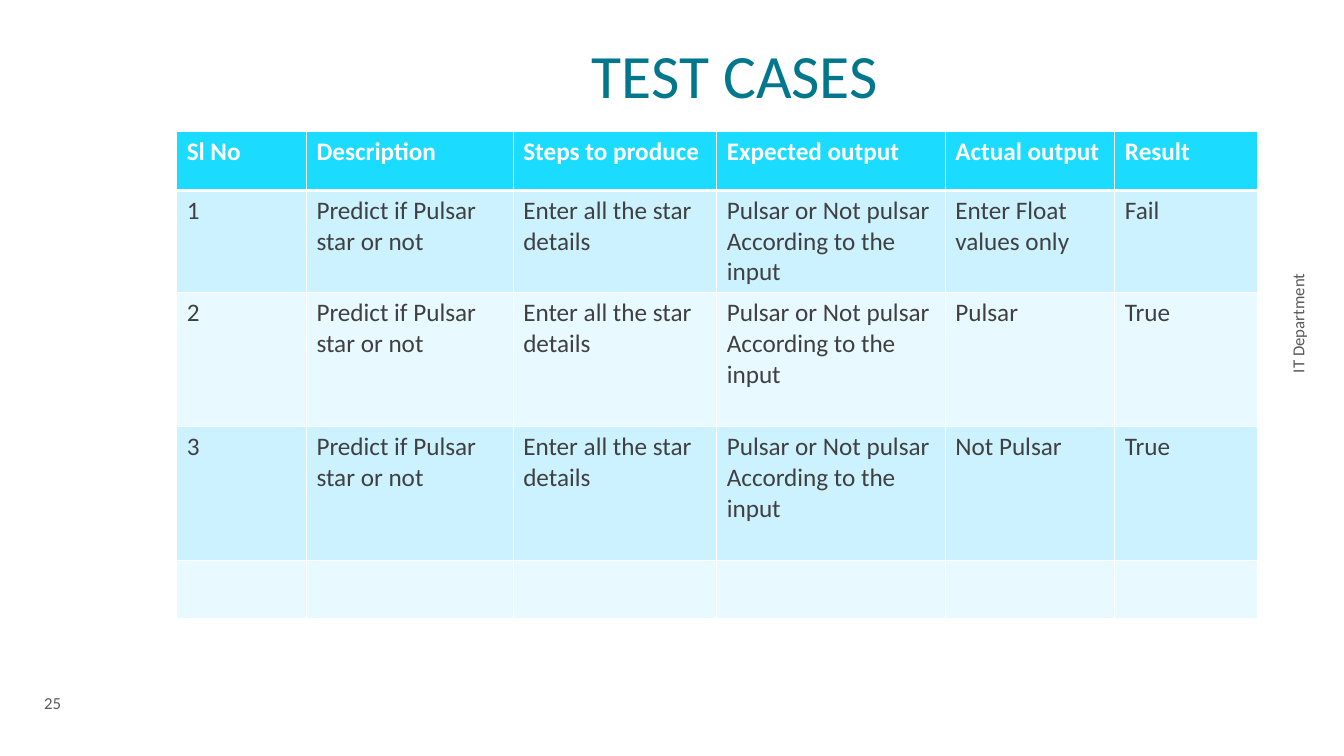
from lxml import etree
from pptx import Presentation
from pptx.dml.color import RGBColor
from pptx.enum.text import MSO_ANCHOR, PP_ALIGN
from pptx.oxml.ns import qn
from pptx.util import Pt

LEFT, CENTER = PP_ALIGN.LEFT, PP_ALIGN.CENTER
TOP, MIDDLE, BOTTOM = MSO_ANCHOR.TOP, MSO_ANCHOR.MIDDLE, MSO_ANCHOR.BOTTOM

WHITE = RGBColor(0xFF, 0xFF, 0xFF)
TEAL = RGBColor(0x00, 0x77, 0x8D)
CYAN = RGBColor(0x1B, 0xDC, 0xFF)
PALE = RGBColor(0xCD, 0xF2, 0xFF)
LIGHT = RGBColor(0xE8, 0xF9, 0xFF)
DARK = RGBColor(0x40, 0x40, 0x40)
GRAY = RGBColor(0x59, 0x59, 0x59)

HEADS = ["Sl No", "Description", "Steps to produce",
         "Expected output", "Actual output", "Result"]
TASK = ["Predict if Pulsar star or not", "Enter all the star details",
        "Pulsar or Not pulsar According to the input"]
RESULTS = [("Enter Float values only", "Fail"),
           ("Pulsar", "True"), ("Not Pulsar", "True")]
WIDTHS = [92.7, 147.7, 145.4, 163.3, 121.1, 102]
HEIGHTS = [42, 73, 95.5, 95.5, 42]


def write(frame, text, size=18, color=DARK, bold=False, align=LEFT,
          anchor=TOP, space=None):
    frame.word_wrap = True
    frame.vertical_anchor = anchor
    frame.text = text
    para = frame.paragraphs[0]
    para.alignment = align
    if space:
        para.line_spacing = space
    font = para.font
    font.name, font.size, font.bold = "Calibri", Pt(size), bold
    font.color.rgb = color


class Deck:
    def __init__(self):
        self.prs = Presentation()
        self.prs.slide_width, self.prs.slide_height = Pt(960), Pt(540)
        self.slide = self.prs.slides.add_slide(self.prs.slide_layouts[5])

    def title(self, text, x, y, w, h):
        shape = self.slide.shapes.title
        shape.left, shape.top, shape.width, shape.height = map(Pt, (x, y, w, h))
        write(shape.text_frame, text, size=44, color=TEAL, align=CENTER,
              anchor=BOTTOM, space=0.85)

    def label(self, text, x, y, w, h, align=LEFT, turn=False):
        box = self.slide.shapes.add_textbox(*map(Pt, (x, y, w, h)))
        frame = box.text_frame
        write(frame, text, size=12, color=GRAY, align=align, anchor=MIDDLE)
        if turn:
            frame._txBody.bodyPr.set("vert", "vert270")

    def border(self, cell, base):
        props = cell._tc.get_or_add_tcPr()
        for side, width in zip("LRTB", (1, 1, 1, base)):
            line = etree.SubElement(props, qn(f"a:ln{side}"), w=str(Pt(width)))
            fill = etree.SubElement(line, qn("a:solidFill"))
            etree.SubElement(fill, qn("a:srgbClr"), val=str(WHITE))

    def table(self, rows, x, y):
        table = self.slide.shapes.add_table(
            len(rows), len(WIDTHS), Pt(x), Pt(y),
            Pt(sum(WIDTHS)), Pt(sum(HEIGHTS))).table
        for col, width in zip(table.columns, WIDTHS):
            col.width = Pt(width)
        for i, (row, height) in enumerate(zip(rows, HEIGHTS)):
            table.rows[i].height = Pt(height)
            head = i == 0
            for cell, text in zip(table.rows[i].cells, row):
                self.border(cell, 3 if head else 1)
                cell.fill.solid()
                cell.fill.fore_color.rgb = CYAN if head else PALE if i % 2 else LIGHT
                write(cell.text_frame, text, bold=head,
                      color=WHITE if head else DARK)


def main():
    deck = Deck()

    # Title
    deck.title("TEST CASES", 156, 30, 738, 53)

    # Test cases, with a spare row at the end
    cases = [[str(n), *TASK, *end] for n, end in enumerate(RESULTS, 1)]
    deck.table([HEADS, *cases, [""] * len(HEADS)], 126.2, 94)

    # Side label and page number
    deck.label("IT Department", 916, 29, 22, 404, align=CENTER, turn=True)
    deck.label("25", 24.5, 494, 57, 16)

    deck.prs.save("out.pptx")


if __name__ == "__main__":
    main()
